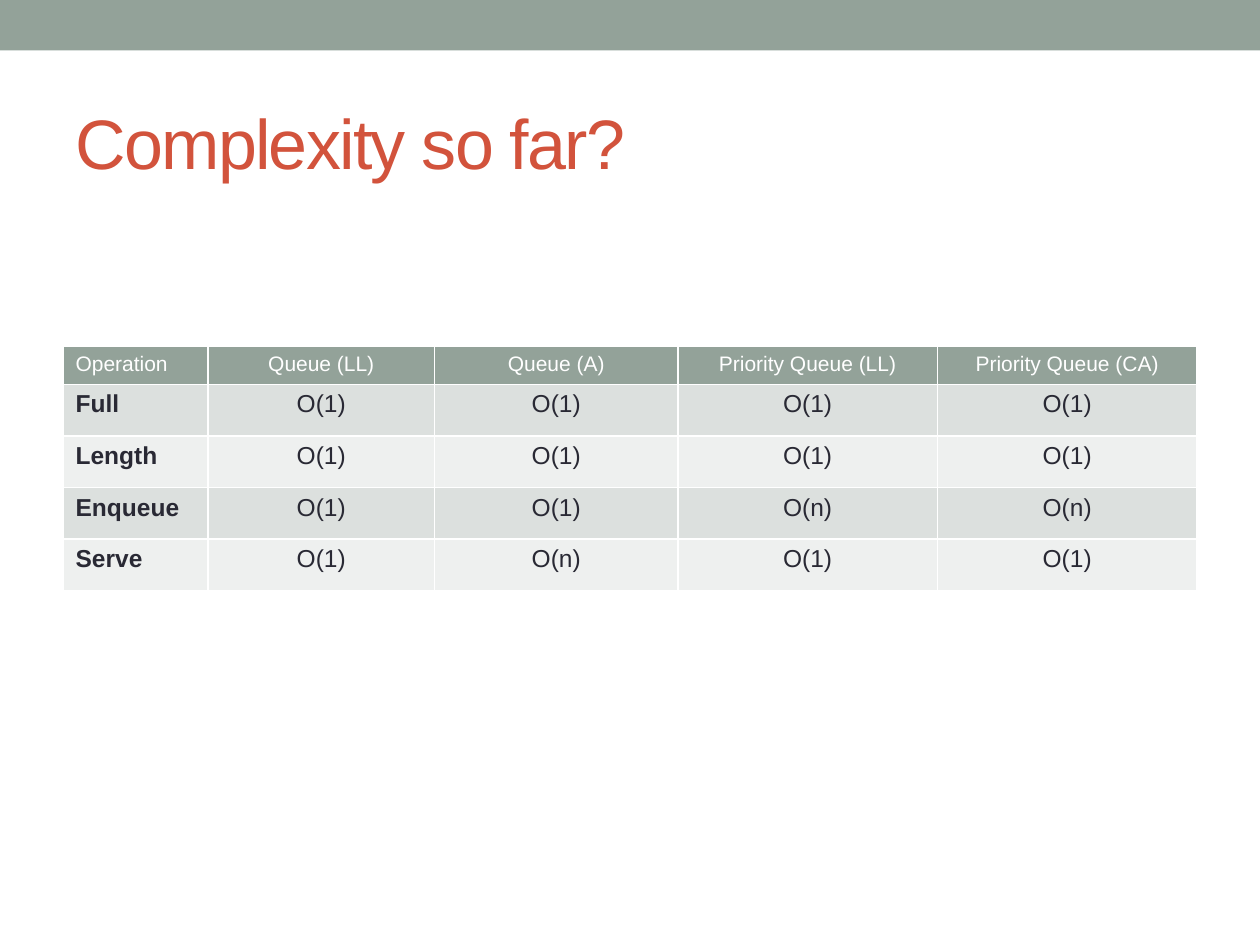
from pptx import Presentation
from pptx.dml.color import RGBColor
from pptx.enum.shapes import MSO_SHAPE
from pptx.enum.text import MSO_ANCHOR, PP_ALIGN
from pptx.util import Inches, Pt

TITLE = "Complexity so far?"
HEADER = ["Operation", "Queue (LL)", "Queue (A)", "Priority Queue (LL)", "Priority Queue (CA)"]
COMPLEXITIES = [
    ["Full", "O(1)", "O(1)", "O(1)", "O(1)"],
    ["Length", "O(1)", "O(1)", "O(1)", "O(1)"],
    ["Enqueue", "O(1)", "O(1)", "O(n)", "O(n)"],
    ["Serve", "O(1)", "O(n)", "O(1)", "O(1)"],
]
COLUMN_WIDTHS = [1.15, 1.8, 1.93, 2.06, 2.06]
HEADER_HEIGHT, ROW_HEIGHT = 0.3, 0.41

FONT = "Arial"
SAGE = RGBColor(0x93, 0xA2, 0x99)
RUST = RGBColor(0xD2, 0x53, 0x3C)
INK = RGBColor(0x29, 0x29, 0x34)
WHITE = RGBColor(0xFF, 0xFF, 0xFF)
BANDS = [RGBColor(0xDC, 0xE0, 0xDE), RGBColor(0xEE, 0xF0, 0xEF)]


def style_text(paragraph, size, color, bold=False, align=PP_ALIGN.LEFT):
    paragraph.alignment = align
    font = paragraph.font
    font.name, font.size, font.bold = FONT, Pt(size), bold
    font.color.rgb = color


def add_top_bar(slide, width):
    bar = slide.shapes.add_shape(MSO_SHAPE.RECTANGLE, 0, 0, width, Inches(0.4))
    bar.shadow.inherit = False
    bar.fill.solid()
    bar.fill.fore_color.rgb = SAGE
    bar.line.fill.background()


def add_title(slide):
    title = slide.shapes.title
    title.left, title.top = Inches(0.5), Inches(0.58)
    title.width, title.height = Inches(9), Inches(1.08)
    frame = title.text_frame
    frame.text = TITLE
    frame.vertical_anchor = MSO_ANCHOR.MIDDLE
    heading = frame.paragraphs[0]
    style_text(heading, 40, RUST)
    heading.runs[0].font._element.set("spc", "-100")


def add_complexity_table(slide):
    rows = [HEADER] + COMPLEXITIES
    heights = [HEADER_HEIGHT] + [ROW_HEIGHT] * len(COMPLEXITIES)
    table = slide.shapes.add_table(
        len(rows), len(HEADER), Inches(0.5), Inches(2.75),
        Inches(sum(COLUMN_WIDTHS)), Inches(sum(heights))).table
    for column, width in zip(table.columns, COLUMN_WIDTHS):
        column.width = Inches(width)
    for r, (labels, height) in enumerate(zip(rows, heights)):
        table.rows[r].height = Inches(height)
        is_header = r == 0
        for c, label in enumerate(labels):
            cell = table.cell(r, c)
            cell.text = label
            cell.fill.solid()
            cell.fill.fore_color.rgb = SAGE if is_header else BANDS[(r - 1) % 2]
            style_text(cell.text_frame.paragraphs[0],
                       12 if is_header else 14,
                       WHITE if is_header else INK,
                       bold=c == 0 and not is_header,
                       align=PP_ALIGN.CENTER if c else PP_ALIGN.LEFT)


def main():
    deck = Presentation()
    deck.slide_width, deck.slide_height = Inches(10), Inches(7.5)
    slide = deck.slides.add_slide(deck.slide_layouts[5])
    add_top_bar(slide, deck.slide_width)
    add_title(slide)
    add_complexity_table(slide)
    deck.save("out.pptx")


if __name__ == "__main__":
    main()
